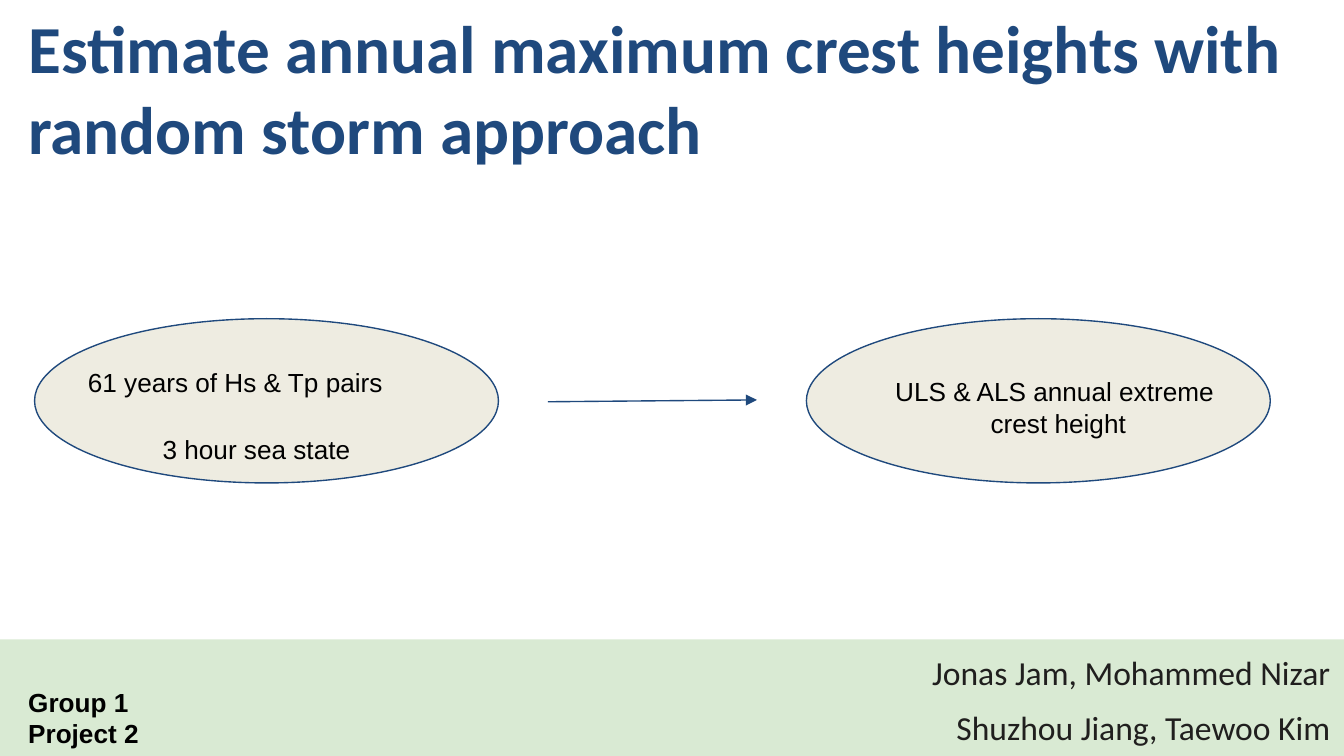
from lxml import etree
from pptx import Presentation
from pptx import util as u
from pptx.dml import color
from pptx.enum import shapes, text
from pptx.oxml import ns

NAVY, BLACK, CHARCOAL = "1F497D", "000000", "201F1E"
SAND, MINT = "EEECE1", "D9EAD3"
LEFT, CENTER, RIGHT = text.PP_ALIGN.LEFT, text.PP_ALIGN.CENTER, text.PP_ALIGN.RIGHT
LABEL = {"name": "Arial", "size": u.Pt(14), "bold": False}
HEADING = {"name": "Calibri", "size": u.Pt(36), "bold": True}
AUTHORS = {"name": "Calibri", "size": u.Pt(18), "bold": False}


def rgb(value):
    return color.RGBColor.from_string(value)


def set_values(target, values):
    for name, value in values.items():
        setattr(target, name, value)


def place(box, left, top, width, height):
    set_values(box, {
        "left": u.Pt(left), "top": u.Pt(top),
        "width": u.Pt(width), "height": u.Pt(height),
    })


def paint(shape, fill):
    shape.fill.solid()
    shape.fill.fore_color.rgb = rgb(fill)


def outline(item):
    item.line.color.rgb = rgb(NAVY)
    item.line.width = u.Pt(0.75)


def write(box, lines, font, ink, inset, layout):
    frame = box.text_frame
    set_values(frame, {
        "word_wrap": True,
        "auto_size": text.MSO_AUTO_SIZE.NONE,
        "vertical_anchor": text.MSO_ANCHOR.TOP,
        "margin_left": u.Pt(7.2), "margin_right": u.Pt(7.2),
        "margin_top": u.Pt(inset), "margin_bottom": u.Pt(inset),
    })
    frame.text = "\n".join(lines)
    for para in frame.paragraphs:
        set_values(para, layout)
        for span in para.runs:
            set_values(span.font, font)
            span.font.color.rgb = rgb(ink)


def add_label(page, lines, bounds, align=LEFT, bold=False):
    box = page.shapes.add_textbox(*map(u.Pt, bounds))
    write(box, lines, {**LABEL, "bold": bold}, BLACK, 7.2, {"alignment": align})


def add_oval(page, left):
    oval = page.shapes.add_shape(
        shapes.MSO_SHAPE.FLOWCHART_CONNECTOR,
        *map(u.Pt, (left, 170.75, 248.5, 88)))
    oval.shadow.inherit = False
    paint(oval, SAND)
    outline(oval)


def add_arrow(page, start, end):
    arrow = page.shapes.add_connector(
        shapes.MSO_CONNECTOR.STRAIGHT, *map(u.Pt, start + end))
    outline(arrow)
    etree.SubElement(arrow.line._get_or_add_ln(), ns.qn("a:tailEnd"), type="triangle")
    etree.SubElement(arrow._element.spPr, ns.qn("a:effectLst"))


def main():
    deck = Presentation()
    set_values(deck, {"slide_width": u.Pt(720), "slide_height": u.Pt(405)})
    page = deck.slides.add_slide(deck.slide_layouts[0])

    title, authors = page.placeholders
    place(title, 8, 0, 703.5, 108.5)
    write(title, ["Estimate annual maximum crest heights with random storm approach"],
          HEADING, NAVY, 3.6, {"alignment": LEFT})
    place(authors, 0, 342.5, 720, 62.5)
    paint(authors, MINT)
    write(authors, ["Jonas Jam, Mohammed Nizar", "Shuzhou Jiang, Taewoo Kim"],
          AUTHORS, CHARCOAL, 3.6,
          {"alignment": RIGHT, "line_spacing": 1.15, "space_before": u.Pt(4.8)})

    for left in (18.5, 432):
        add_oval(page, left)
    add_arrow(page, (293.5, 215.25), (405.5, 214.25))

    add_label(page, ["61 years of Hs & Tp pairs"], (40, 189, 227, 52))
    add_label(page, ["ULS & ALS annual extreme ", "crest height"],
              (453.5, 194, 227, 52), align=CENTER)
    add_label(page, ["3 hour sea state"], (80, 224.75, 140.5, 26.5))
    add_label(page, ["Group 1\vProject 2"], (8, 360.5, 140.5, 26.5), bold=True)

    deck.save("out.pptx")


if __name__ == "__main__":
    main()
